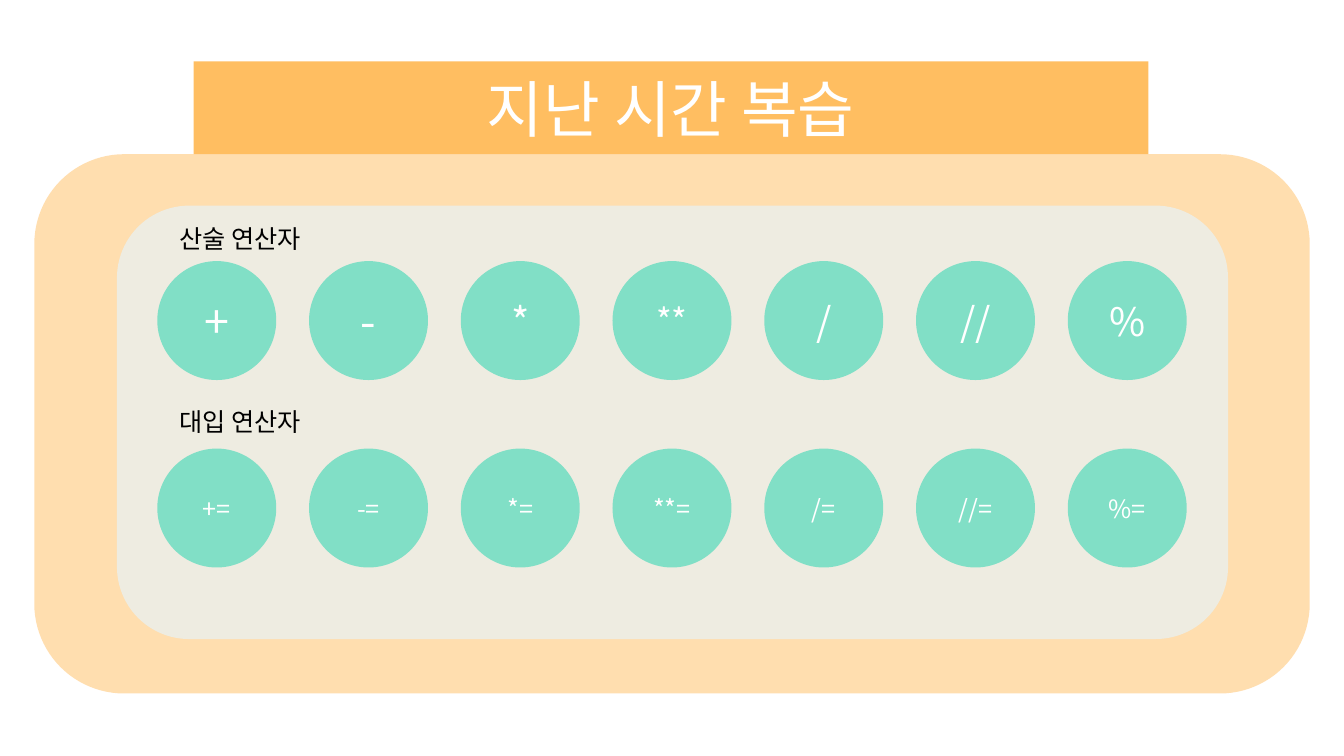
from lxml import etree
from pptx import Presentation
from pptx import util as u
from pptx.dml.color import RGBColor
from pptx.enum import shapes, text
from pptx.oxml.ns import qn

COLORS = {
    "banner": "FFBE61",
    "panel": "EEECE1",
    "circle": "81DFC6",
    "light": "FFFFFF",
    "dark": "000000",
}
FONT = "Noto Sans CJK KR"
DIAMETER = 1.18
FIRST_LEFT, PITCH = 1.56, 1.505

# Each row: heading, heading top, circle top, operators with text sizes
ROWS = [
    ("산술 연산자", 2.17, 2.59,
     [("+", 32), ("-", 32), ("*", 28), ("**", 24), ("/", 28), ("//", 28), ("%", 28)]),
    ("대입 연산자", 3.98, 4.45,
     [(sign + "=", 18) for sign in ("+", "-", "*", "**", "/", "//", "%")]),
]


def write(box, words, size=18, color="light", align=text.PP_ALIGN.CENTER,
          anchor=text.MSO_ANCHOR.MIDDLE):
    frame = box.text_frame
    frame.word_wrap = True
    frame.auto_size = text.MSO_AUTO_SIZE.NONE
    frame.vertical_anchor = anchor
    para = frame.paragraphs[0]
    para.alignment = align
    span = para.add_run()
    span.text = words
    span.font.size = u.Pt(size)
    span.font.color.rgb = RGBColor.from_string(COLORS[color])
    span.font.name = FONT
    east_asian = etree.SubElement(span.font._element, qn("a:ea"))
    east_asian.set("typeface", FONT)


class OperatorSlide:
    def __init__(self, deck):
        self.page = deck.slides.add_slide(deck.slide_layouts[5])

    def paint(self, box, color, opacity=None):
        box.fill.solid()
        box.fill.fore_color.rgb = RGBColor.from_string(COLORS[color])
        box.line.fill.background()
        if opacity is not None:
            tint = box.fill._xPr.find(".//" + qn("a:srgbClr"))
            etree.SubElement(tint, qn("a:alpha")).set("val", str(opacity * 1000))

    def title(self, words, left, top, width, height):
        box = self.page.shapes.title
        box.left, box.top = u.Inches(left), u.Inches(top)
        box.width, box.height = u.Inches(width), u.Inches(height)
        # Rounded outline for the title placeholder
        outline = etree.SubElement(box.element.spPr, qn("a:prstGeom"))
        outline.set("prst", "roundRect")
        etree.SubElement(outline, qn("a:avLst"))
        self.paint(box, "banner")
        write(box, words, size=44)

    def shape(self, kind, left, top, width, height, color, opacity=None, parent=None):
        box = (parent or self.page).shapes.add_shape(
            kind, u.Inches(left), u.Inches(top), u.Inches(width), u.Inches(height))
        box.shadow.inherit = False
        self.paint(box, color, opacity)
        return box

    def panel(self, left, top, width, height, color, opacity=None):
        self.shape(shapes.MSO_SHAPE.ROUNDED_RECTANGLE, left, top, width, height,
                   color, opacity)

    def heading(self, words, top):
        box = self.page.shapes.add_textbox(
            u.Inches(1.68), u.Inches(top), u.Inches(9.95), u.Inches(0.71))
        write(box, words, color="dark", align=text.PP_ALIGN.LEFT,
              anchor=text.MSO_ANCHOR.TOP)

    def circles(self, operators, top):
        group = self.page.shapes.add_group_shape()
        for column, (sign, size) in enumerate(operators):
            circle = self.shape(shapes.MSO_SHAPE.OVAL, FIRST_LEFT + column * PITCH, top,
                                DIAMETER, DIAMETER, "circle", parent=group)
            write(circle, sign, size=size)


def main():
    deck = Presentation()
    deck.slide_width, deck.slide_height = u.Inches(13.33), u.Inches(7.5)
    slide = OperatorSlide(deck)

    # Banner and panels
    slide.title("지난 시간 복습", 1.92, 0.61, 9.47, 0.92)
    slide.panel(0.34, 1.53, 12.65, 5.35, "banner", opacity=50)
    slide.panel(1.16, 2.04, 11.02, 4.3, "panel")

    # Operator rows
    for heading, heading_top, circle_top, operators in ROWS:
        slide.heading(heading, heading_top)
        slide.circles(operators, circle_top)

    deck.save("out.pptx")


if __name__ == "__main__":
    main()
